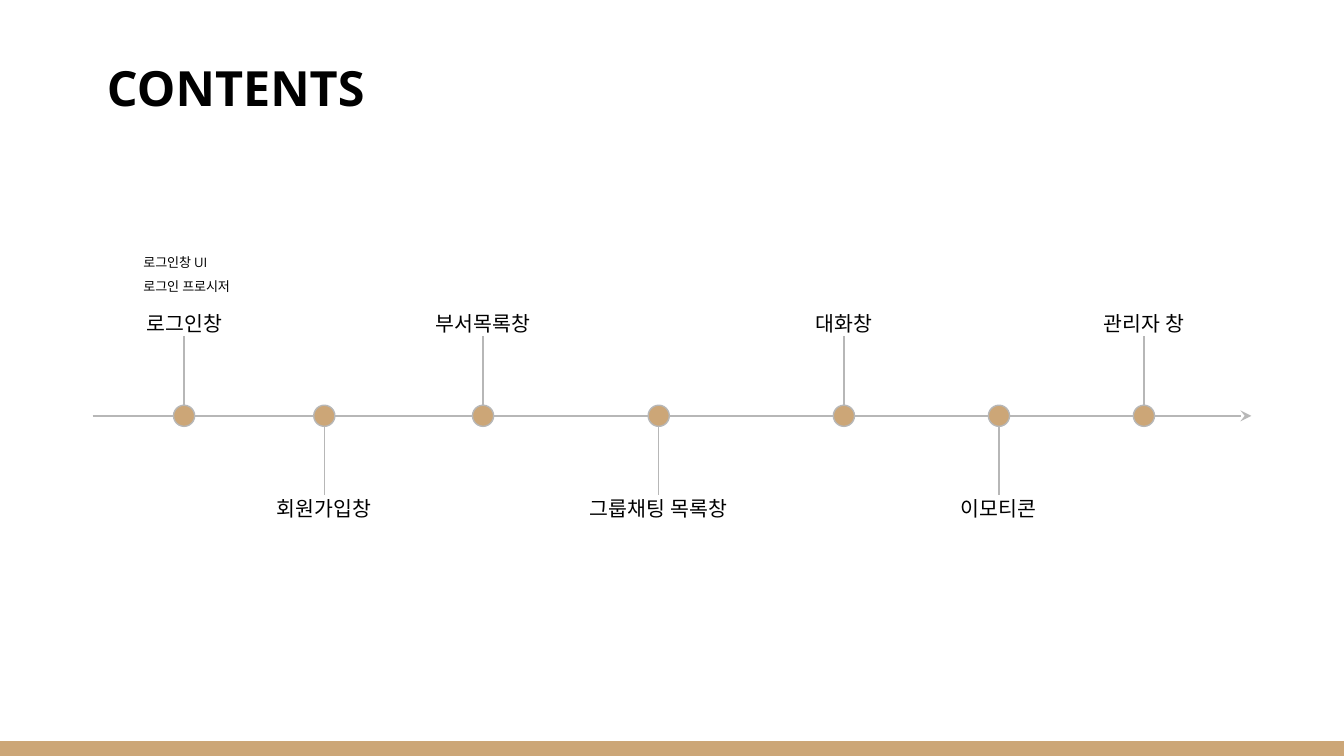
from lxml.etree import SubElement
from pptx import Presentation
from pptx.dml.color import RGBColor
from pptx.enum.shapes import MSO_CONNECTOR as Connector, MSO_SHAPE as Shape
from pptx.enum.text import MSO_ANCHOR as Anchor, MSO_AUTO_SIZE as AutoSize, PP_ALIGN as Align
from pptx.oxml.ns import qn
from pptx.util import Cm, Pt

FONT = "Open Sans"
TAN, GRAY, BLACK = "CCA677", "B7B7B7", "000000"
SLIDE_WIDTH, SLIDE_HEIGHT = 25.4, 14.29
BAR_HEIGHT = 0.28
AXIS_START, AXIS_END, AXIS_Y = 1.75, 23.65, 7.86
DOT_RADIUS, STEM_LENGTH, LABEL_HEIGHT = 0.2, 1.3, 0.5

MILESTONES = [
    ("로그인창", 3.48, 2.06),
    ("회원가입창", 6.13, 2.69),
    ("부서목록창", 9.13, 2.51),
    ("그룹채팅 목록창", 12.45, 3.35),
    ("대화창", 15.95, 2.06),
    ("이모티콘", 18.88, 2.06),
    ("관리자 창", 21.62, 2.39),
]
LOGIN_DETAILS = ["로그인창 UI", "로그인 프로시저"]


def color(hex_value):
    return RGBColor.from_string(hex_value)


def apply(target, values):
    for name, value in values.items():
        setattr(target, name, value)


def place(item, left, top, width, height):
    apply(item, {"left": Cm(left), "top": Cm(top), "width": Cm(width), "height": Cm(height)})


def write(box, lines, size, bold=False, align=Align.CENTER, anchor=Anchor.MIDDLE, spacing=1.0):
    frame = box.text_frame
    frame.text = "\n".join(lines)
    margins = {f"margin_{side}": Cm(0.25) for side in ("left", "top", "right", "bottom")}
    apply(frame, {"word_wrap": True, "auto_size": AutoSize.NONE, "vertical_anchor": anchor, **margins})
    for paragraph in frame.paragraphs:
        apply(paragraph, {"alignment": align, "line_spacing": spacing, "space_before": Pt(0)})
        for run in paragraph.runs:
            apply(run.font, {"name": FONT, "size": Pt(size), "bold": bold})
            run.font.color.rgb = color(BLACK)
            SubElement(run.font._element, qn("a:ea"), typeface=FONT)


def add_filled(slide, preset, left, top, width, height, outline=None):
    filled = slide.shapes.add_shape(preset, Cm(left), Cm(top), Cm(width), Cm(height))
    filled.shadow.inherit = False
    filled.fill.solid()
    filled.fill.fore_color.rgb = color(TAN)
    if outline:
        filled.line.color.rgb = color(outline)
        filled.line.width = Pt(0.75)
    else:
        filled.line.fill.background()


def add_line(slide, x1, y1, x2, y2, arrow=False):
    line = slide.shapes.add_connector(Connector.STRAIGHT, Cm(x1), Cm(y1), Cm(x2), Cm(y2))
    line.line.color.rgb = color(GRAY)
    line.line.width = Pt(0.75)
    if arrow:
        SubElement(line.line._get_or_add_ln(), qn("a:tailEnd"), type="stealth")
    SubElement(line._element.spPr, qn("a:effectLst"))


def add_milestone(slide, label, center, label_width, direction):
    stem_start = AXIS_Y + direction * DOT_RADIUS
    stem_end = stem_start + direction * STEM_LENGTH
    label_top = stem_end if direction > 0 else stem_end - LABEL_HEIGHT
    diameter = 2 * DOT_RADIUS
    add_filled(slide, Shape.OVAL, center - DOT_RADIUS, AXIS_Y - DOT_RADIUS, diameter, diameter, GRAY)
    add_line(slide, center, stem_start, center, stem_end)
    label_box = slide.shapes.add_textbox(0, 0, 0, 0)
    place(label_box, center - label_width / 2, label_top, label_width, LABEL_HEIGHT)
    write(label_box, [label], 11)


def add_title(slide):
    title = slide.shapes.title
    place(title, 1.75, 0.84, 5.42, 1.6)
    write(title, ["CONTENTS"], 26, bold=True)


def add_details(slide):
    details = slide.placeholders[1]
    place(details, 2.46, 4.42, 2.51, 1.27)
    write(details, LOGIN_DETAILS, 7, align=Align.LEFT, anchor=Anchor.TOP, spacing=1.5)
    for paragraph in details.text_frame.paragraphs:
        properties = paragraph._p.get_or_add_pPr()
        properties.set("marL", "0")
        properties.set("indent", "0")
        SubElement(properties, qn("a:buNone"))


def main():
    deck = Presentation()
    apply(deck, {"slide_width": Cm(SLIDE_WIDTH), "slide_height": Cm(SLIDE_HEIGHT)})
    slide = deck.slides.add_slide(deck.slide_layouts[1])
    add_title(slide)
    add_details(slide)
    add_filled(slide, Shape.RECTANGLE, 0, SLIDE_HEIGHT - BAR_HEIGHT, SLIDE_WIDTH, BAR_HEIGHT)
    add_line(slide, AXIS_START, AXIS_Y, AXIS_END, AXIS_Y, arrow=True)
    for index, (label, center, label_width) in enumerate(MILESTONES):
        add_milestone(slide, label, center, label_width, 1 if index % 2 else -1)
    deck.save("out.pptx")


if __name__ == "__main__":
    main()
